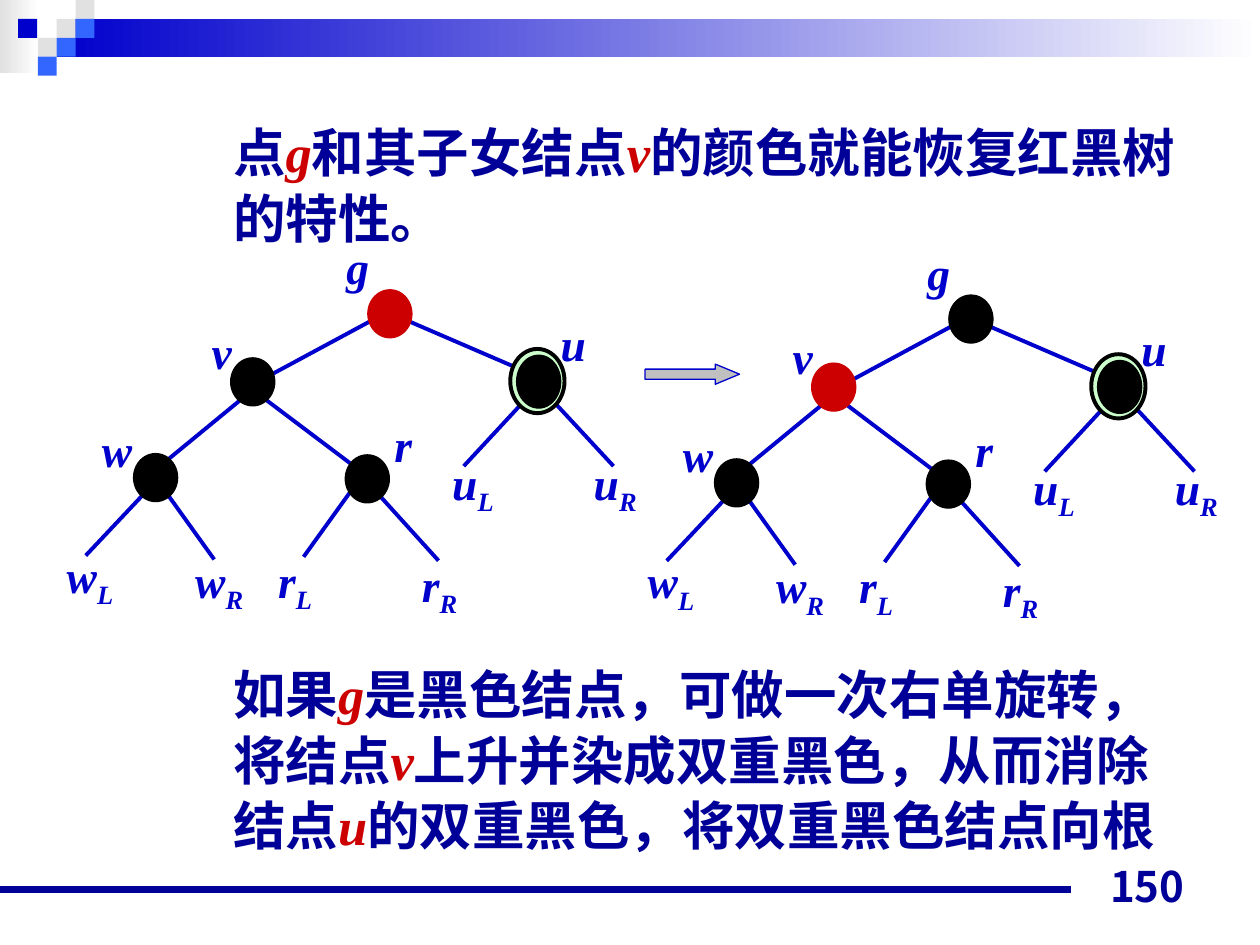
"""Build the slide on double-black node removal in a red-black tree."""
import lxml.etree
import pptx
import pptx.dml.color
import pptx.enum.shapes
import pptx.enum.text
import pptx.oxml.ns
import pptx.util

Pt = pptx.util.Pt
SHAPES = pptx.enum.shapes.MSO_SHAPE
ALIGN = pptx.enum.text.PP_ALIGN
ANCHOR = pptx.enum.text.MSO_ANCHOR
LATIN = "Times New Roman"
EAST_ASIAN = "Noto Sans CJK JP"
COLOURS = {
    "navy": "000099", "blue": "0000CC", "bright": "3366FF", "red": "CC0000",
    "black": "000000", "mint": "CCFFCC", "silver": "C0C0C0", "grey": "E1E1E1",
    "white": "FFFFFF",
}
BODY = [
    "点*g*和其子女结点*v*的颜色就能恢复红黑树的特性。",
    "如果*g*是黑色结点，可做一次右单旋转，将结点*v*上升并染成双重黑色，"
    "从而消除结点*u*的双重黑色，将双重黑色结点向根",
]
SQUARES = [
    (32.4, 10.8, "grey"), (43.2, 0, "grey"), (43.2, 10.8, "bright"),
    (21.6, 21.6, "grey"), (10.4, 10.8, "blue"), (32.4, 21.6, "bright"),
    (21.6, 32.4, "bright"),
]
EDGES = [
    (230.4, 182.2, 298.8, 211.7), (301.7, 226.8, 265, 266.4),
    (313.9, 226.8, 350.6, 266.4), (216, 282.2, 250.6, 320.4),
    (149.8, 226.8, 202.3, 266.4), (218.2, 180, 155.5, 213.8),
    (140.4, 226.1, 91.4, 266.4), (200.9, 280.1, 173.5, 318.2),
    (95, 281.5, 122.4, 319.7), (84.2, 280.1, 49, 317.5),
]
NODES = {"g": (210.2, 165.6), "v": (131.8, 204.5), "r": (197.3, 259.9), "w": (76.3, 259.2)}
LABELS = [
    ("g", 190.8, 133.2), ("v", 113.8, 181.4), ("u", 313.2, 177.1),
    ("w", 51.1, 237.6), ("r", 218.2, 234.7), ("u_L", 251.3, 256.3),
    ("u_R", 332.2, 256.3), ("w_L", 31, 309.6), ("w_R", 104.4, 312.5),
    ("r_L", 151.9, 312.5), ("r_R", 234, 314.6),
]


def rgb(name):
    """Return the named colour."""
    return pptx.dml.color.RGBColor.from_string(COLOURS[name])


def add_run(paragraph, text, size=26, colour="blue", font=LATIN, italic=False, baseline=0):
    """Append bold text in the given format."""
    run = paragraph.add_run()
    run.text = text
    run.font.size, run.font.bold, run.font.italic = Pt(size), True, italic
    run.font.color.rgb = rgb(colour)
    run.font.name = font
    properties = run._r.get_or_add_rPr()
    lxml.etree.SubElement(properties, pptx.oxml.ns.qn("a:ea"), typeface=EAST_ASIAN)
    if baseline:
        properties.set("baseline", str(baseline * 1000))


def add_box(shapes, kind, left, top, width, height, fill, line=None, weight=0.75):
    """Add a filled preset shape, outlined when a line colour is given."""
    shape = shapes.add_shape(kind, Pt(left), Pt(top), Pt(width), Pt(height))
    shape.shadow.inherit = False
    shape.fill.solid()
    shape.fill.fore_color.rgb = rgb(fill)
    if line:
        shape.line.color.rgb = rgb(line)
        shape.line.width = Pt(weight)
    else:
        shape.line.fill.background()
    return shape


def add_fade(shapes, left, top, width, height, colour):
    """Add a bar that fades to white on its right."""
    shape = add_box(shapes, SHAPES.RECTANGLE, left, top, width, height, colour)
    shape.fill.gradient()
    shape.fill.gradient_angle = 0
    for stop, name in zip(shape.fill.gradient_stops, (colour, "white")):
        stop.color.rgb = rgb(name)


def add_line(shapes, start_x, start_y, end_x, end_y, colour="blue", weight=2.25):
    """Add a straight line without a shadow."""
    line = shapes.add_connector(
        pptx.enum.shapes.MSO_CONNECTOR.STRAIGHT, Pt(start_x), Pt(start_y), Pt(end_x), Pt(end_y))
    line.line.color.rgb = rgb(colour)
    line.line.width = Pt(weight)
    lxml.etree.SubElement(line._element.spPr, pptx.oxml.ns.qn("a:effectLst"))


def add_text_box(shapes, left, top, width, height, align=ALIGN.LEFT, anchor=ANCHOR.TOP):
    """Add a wrapping text box and return its first paragraph."""
    frame = shapes.add_textbox(Pt(left), Pt(top), Pt(width), Pt(height)).text_frame
    frame.word_wrap = True
    frame.vertical_anchor = anchor
    paragraph = frame.paragraphs[0]
    paragraph.alignment = align
    return paragraph


def add_tree(slide, offset_x, offset_y, red_node):
    """Add a tree as a group, with one red node and a double-black u."""
    shapes = slide.shapes.add_group_shape().shapes
    for start_x, start_y, end_x, end_y in EDGES:
        add_line(shapes, start_x + offset_x, start_y + offset_y,
                 end_x + offset_x, end_y + offset_y)
    for name, (left, top) in NODES.items():
        colour = "red" if name == red_node else "black"
        add_box(shapes, SHAPES.OVAL, left + offset_x, top + offset_y, 25.2, 27.4, colour, colour)
    add_box(shapes, SHAPES.OVAL, 291.6 + offset_x, 199.4 + offset_y, 31, 36.7,
            "mint", "black", 2.25)
    add_box(shapes, SHAPES.OVAL, 295.2 + offset_x, 203 + offset_y, 25.2, 30.2, "black", "black")
    for label, left, top in LABELS:
        paragraph = add_text_box(shapes, left + offset_x, top + offset_y, 54, 63.4)
        letter, _, subscript = label.partition("_")
        add_run(paragraph, letter, italic=True)
        if subscript:
            add_run(paragraph, subscript, italic=True, baseline=-25)


def add_banner(shapes):
    """Add the faded bars, the squares and the footer rule."""
    add_fade(shapes, 0, 0, 22.3, 41.8, "grey")
    add_fade(shapes, 32.4, 10.8, 687.6, 21.6, "blue")
    for left, top, colour in SQUARES:
        add_box(shapes, SHAPES.RECTANGLE, left, top, 10.8, 10.8, colour)
    add_line(shapes, 0, 508.3, 612, 508.3, "navy", 4.5)


def fill_body(body):
    """Write both paragraphs, leaving room for the trees between them."""
    body.left, body.top, body.width, body.height = Pt(36), Pt(63), Pt(648), Pt(477)
    frame = body.text_frame
    frame.auto_size = pptx.enum.text.MSO_AUTO_SIZE.NONE
    for index, text in enumerate(BODY):
        paragraph = frame.add_paragraph() if index else frame.paragraphs[0]
        properties = paragraph._p.get_or_add_pPr()
        properties.set("marL", str(Pt(90)))
        properties.set("indent", "0")
        lxml.etree.SubElement(properties, pptx.oxml.ns.qn("a:buNone"))
        paragraph.line_spacing = Pt(37.7)
        paragraph.space_before = Pt(234.3 * index)
        for position, part in enumerate(text.split("*")):
            node = position % 2 == 1
            add_run(paragraph, part, size=30, colour="red" if node else "navy", italic=node)


def main():
    """Build and save the presentation."""
    presentation = pptx.Presentation()
    presentation.slide_width, presentation.slide_height = Pt(720), Pt(540)
    slide = presentation.slides.add_slide(presentation.slide_layouts[1])
    title = slide.shapes.title._element
    title.getparent().remove(title)
    add_banner(slide.shapes)
    fill_body(slide.placeholders[1])
    add_tree(slide, 0, 0, "g")
    arrow = add_box(slide.shapes, SHAPES.RIGHT_ARROW, 368.6, 208.1, 54, 11.5, "silver", "blue")
    arrow.adjustments[1] = 1.2
    add_tree(slide, 332, 3, "v")
    number = add_text_box(slide.shapes, 516.2, 488.2, 167.8, 36, ALIGN.RIGHT, ANCHOR.BOTTOM)
    add_run(number, "150", size=24, colour="navy", font=EAST_ASIAN)
    presentation.save("out.pptx")


if __name__ == "__main__":
    main()
